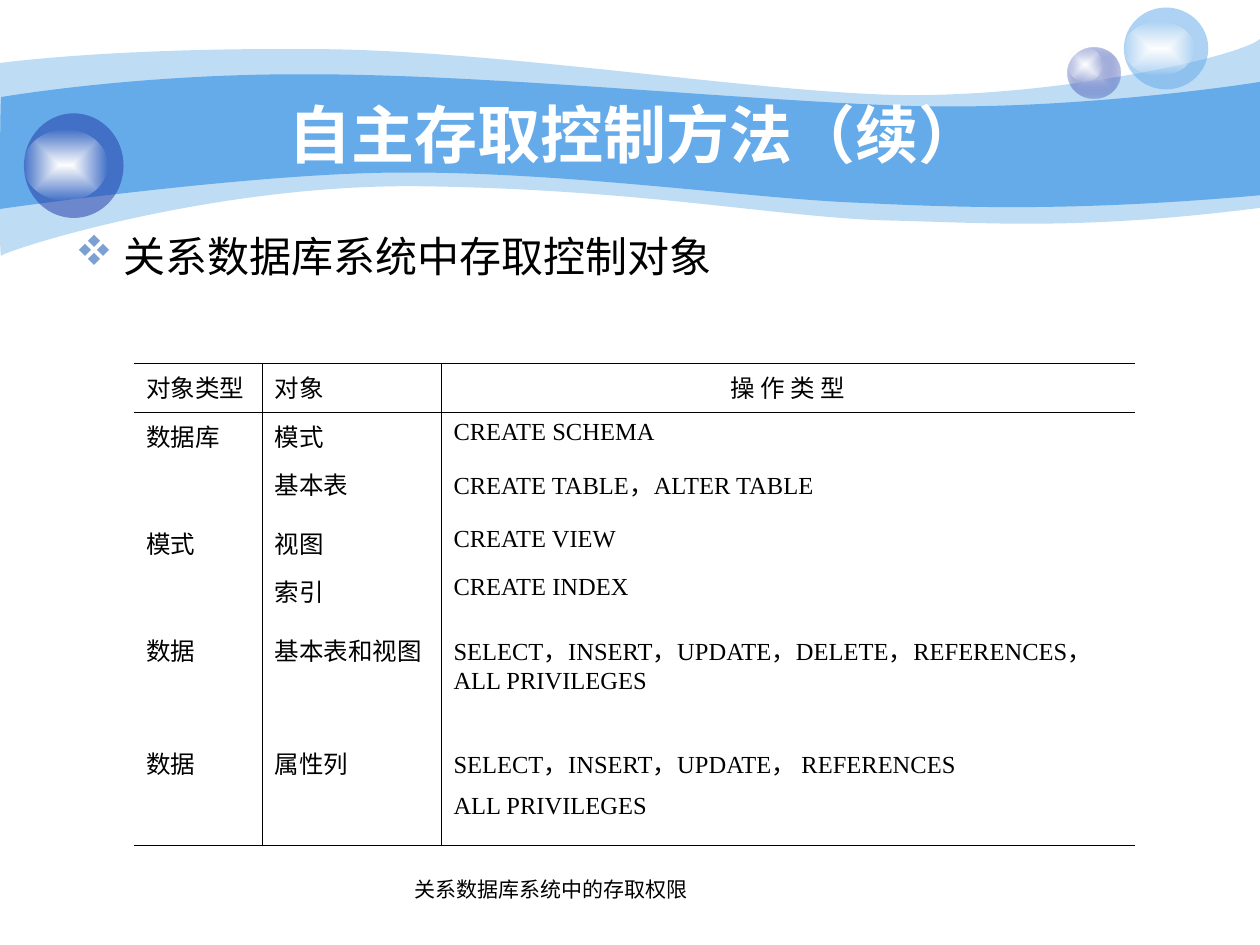
"""Build the slide on objects and operations of access control in a relational database."""
import pptx
import pptx.dml.color
import pptx.enum.shapes
import pptx.enum.text
import pptx.oxml
import pptx.oxml.ns
import pptx.util

NS = pptx.oxml.ns.nsdecls("a")
rgb = pptx.dml.color.RGBColor.from_string
PP = pptx.enum.text.PP_ALIGN
MIDDLE = pptx.enum.text.MSO_ANCHOR.MIDDLE


def paint(sp, *stops):
    """Fill a shape with one (colour, alpha) pair or a gradient from the centre outwards."""
    colours = [f'<a:srgbClr val="{c}"><a:alpha val="{a * 1000}"/></a:srgbClr>' for c, a in stops]
    if len(stops) == 1:
        xml = f"<a:solidFill {NS}>{colours[0]}</a:solidFill>"
    else:
        xml = (f'<a:gradFill {NS} rotWithShape="1"><a:gsLst><a:gs pos="0">{colours[0]}</a:gs>'
               f'<a:gs pos="100000">{colours[1]}</a:gs></a:gsLst><a:path path="rect">'
               '<a:fillToRect l="50000" t="50000" r="50000" b="50000"/></a:path></a:gradFill>')
    sp.shadow.inherit = False
    sp.line.fill.background()
    sp.fill.background()
    spPr = sp._element.spPr
    spPr.replace(spPr.find(pptx.oxml.ns.qn("a:noFill")), pptx.oxml.parse_xml(xml))


def write(tf, text, size, font, colour="000000", bold=False, align=PP.LEFT, hang=0, bullet=""):
    """Put text into a frame and format each of its paragraphs."""
    tf.text = text
    for p in tf.paragraphs:
        pPr = p._p.get_or_add_pPr()
        pPr.set("marL", str(hang))
        pPr.set("indent", str(-hang))
        if bullet:
            for xml in (f'<a:buClr {NS}><a:srgbClr val="7DA0D3"/></a:buClr>',
                        f'<a:buFont {NS} typeface="Wingdings" charset="2"/>',
                        f'<a:buChar {NS} char="{bullet}"/>'):
                pPr.append(pptx.oxml.parse_xml(xml))
        p.alignment = align
        for r in p.runs:
            r.font.size = pptx.util.Pt(size)
            r.font.name = font
            r.font.bold = bold
            r.font.color.rgb = rgb(colour)


prs = pptx.Presentation()
prs.slide_width, prs.slide_height = pptx.util.Inches(10), pptx.util.Inches(7.5)
s = prs.slides.add_slide(prs.slide_layouts[6])
U = prs.slide_width // 10
HANG = int(0.38 * U)

waves = [
    (41, [[(0, 0.5)],
          [(0.24, 0.47), (1.07, 0.38), (2.47, 0.39)],
          [(3.86, 0.39), (5.75, 0.7), (6.99, 0.75)],
          [(8.22, 0.8), (9.8, 0.47), (10, 0.31)],
          [(10, 1.65)],
          [(8.58, 1.83), (7.87, 1.77), (7.05, 1.75)],
          [(6.22, 1.73), (5.15, 1.51), (3.43, 1.48)],
          [(1.72, 1.44), (0.04, 1.99), (0.01, 2.03)],
          [(-0.01, 2.08), (0, 0.75), (0, 0.5)]]),
    (100, [[(0.01, 0.77)],
           [(0.02, 0.77), (1.1, 0.58), (2.48, 0.59)],
           [(3.86, 0.59), (5.95, 0.8), (7.18, 0.84)],
           [(8.41, 0.88), (9.76, 0.69), (10, 0.65)],
           [(10, 1.55)],
           [(8.53, 1.68), (7.65, 1.65), (6.82, 1.61)],
           [(5.99, 1.58), (4.47, 1.36), (3.17, 1.37)],
           [(2.03, 1.37), (-0.02, 1.66), (-0.01, 1.66)],
           [(0, 1.66), (0, 0.77), (0.01, 0.77)]]),
]
for alpha, segments in waves:
    segments = [[(int(x * U), int(y * U)) for x, y in seg] for seg in segments]
    ends = [seg[-1] for seg in segments]
    fb = s.shapes.build_freeform(*ends[0])
    fb.add_line_segments(ends[1:], close=True)
    sp = fb.convert_to_shape()
    outline = next(sp._element.iter(pptx.oxml.ns.qn("a:path")))
    for step, seg in zip(list(outline)[1:], segments[1:]):
        tag = "cubicBezTo" if len(seg) == 3 else "lnTo"
        pts = "".join(f'<a:pt x="{x - sp.left}" y="{y - sp.top}"/>' for x, y in seg)
        outline.replace(step, pptx.oxml.parse_xml(f"<a:{tag} {NS}>{pts}</a:{tag}>"))
    paint(sp, ("65AAE9", alpha))

glow = [("FFFFFF", 100), ("FEFEFE", 0)]
bubbles = [
    (8.47, 0.38, 0.42, 0.4, [("C6CCE8", 100), ("233DA9", 31)]),
    (8.47, 0.38, 0.28, 0.27, glow),
    (8.92, 0.06, 0.67, 0.65, [("65AAE9", 53)]),
    (8.92, 0.17, 0.56, 0.43, glow),
    (0.19, 0.9, 0.79, 0.83, [("233DA9", 53)]),
    (0.19, 1.03, 0.66, 0.56, glow),
]
for *box, stops in bubbles:
    sp = s.shapes.add_shape(pptx.enum.shapes.MSO_SHAPE.OVAL, *[int(v * U) for v in box])
    paint(sp, *stops)

texts = [
    ((1, 0.75, 8.08, 0.62), True, MIDDLE, "自主存取控制方法（续）",
     dict(size=36, font="Arial", colour="FFFFFF", bold=True, align=PP.CENTER)),
    ((0.5, 1.78, 8.99, 2.14), True, pptx.enum.text.MSO_ANCHOR.TOP, "关系数据库系统中存取控制对象",
     dict(size=24, font="Arial", hang=HANG, bullet="v")),
    ((3.19, 6.86, 2.43, 0.4), False, MIDDLE, "关系数据库系统中的存取权限",
     dict(size=12, font="Times New Roman")),
]
for box, wrap, anchor, text, style in texts:
    tf = s.shapes.add_textbox(*[int(v * U) for v in box]).text_frame
    tf.word_wrap = wrap
    tf.vertical_anchor = anchor
    write(tf, text, **style)

rows = [
    (0.39, "对象类型", "对象", "操 作 类 型"),
    (0.38, "数据库", "模式", "CREATE SCHEMA"),
    (0.47, "", "基本表", "CREATE TABLE，ALTER TABLE"),
    (0.38, "模式", "视图", "CREATE VIEW"),
    (0.47, "", "索引", "CREATE INDEX"),
    (0.89, "数据", "基本表和视图", "SELECT，INSERT，UPDATE，DELETE，REFERENCES，\nALL PRIVILEGES"),
    (0.38, "数据", "属性列", "SELECT，INSERT，UPDATE， REFERENCES"),
    (0.47, "", "", "ALL PRIVILEGES"),
]
widths = [1.02, 1.42, 5.51]
heights = [row[0] for row in rows]
last = len(rows) - 1
table = s.shapes.add_table(len(rows), len(widths), int(1.06 * U), int(2.88 * U),
                           int(sum(widths) * U), int(sum(heights) * U)).table
table.first_row = table.horz_banding = False
for column, width in zip(table.columns, widths):
    column.width = int(width * U)
for i, (height, *labels) in enumerate(rows):
    table.rows[i].height = int(height * U)
    for j, label in enumerate(labels):
        cell = table.cell(i, j)
        edges = {"L": j > 0, "R": j < 2, "T": i < 2, "B": i in (0, last)}
        for side, drawn in edges.items():
            line = '<a:solidFill><a:srgbClr val="000000"/></a:solidFill>' if drawn else "<a:noFill/>"
            cell._tc.get_or_add_tcPr().append(pptx.oxml.parse_xml(
                f'<a:ln{side} {NS} w="{pptx.util.Pt(0.45)}">{line}</a:ln{side}>'))
        cell.fill.background()
        align = PP.CENTER if (i, j) == (0, 2) else PP.LEFT
        write(cell.text_frame, label, 14, "Times New Roman", align=align, hang=HANG)

prs.save("out.pptx")
